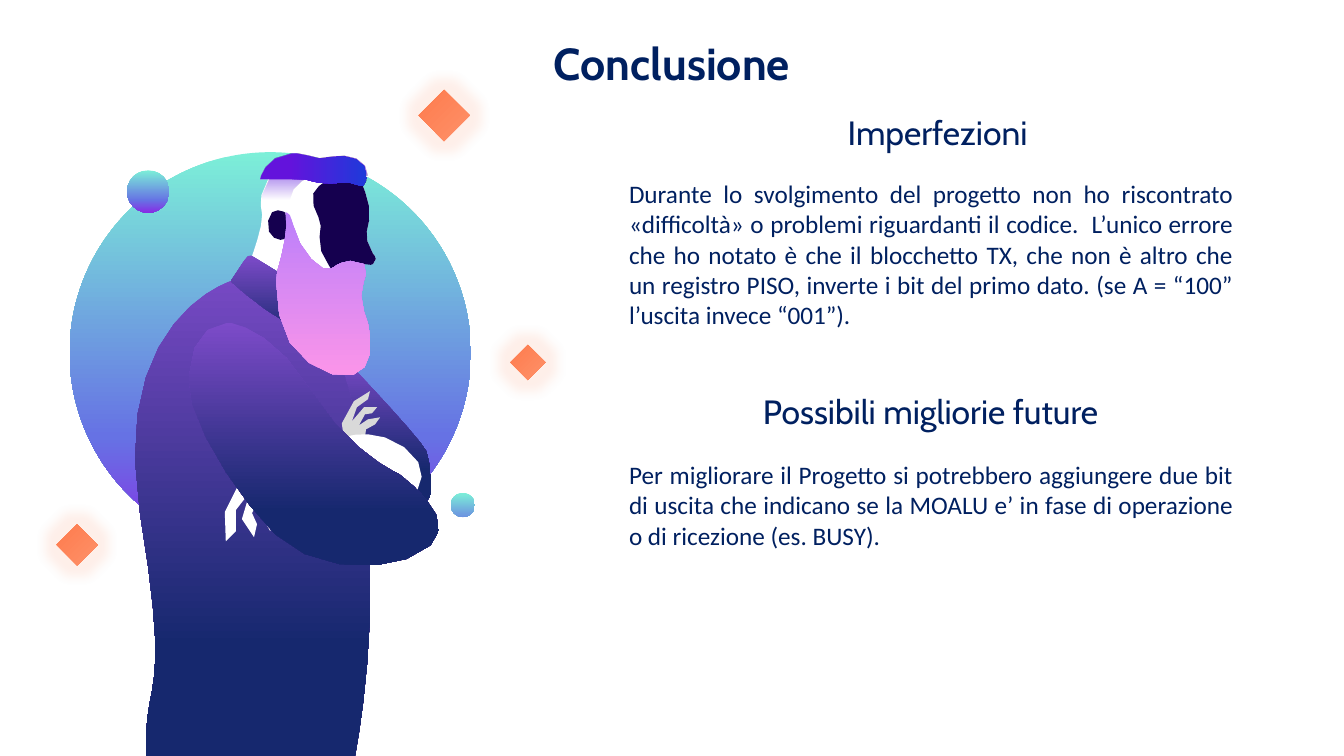
import math
from dataclasses import dataclass

from pptx import Presentation
from pptx import util as u
from pptx.dml.color import RGBColor
from pptx.enum import shapes, text
from pptx.oxml import parse_xml
from pptx.oxml.ns import nsdecls, qn


@dataclass(frozen=True)
class Theme:
    ink: str = "002060"
    white: str = "FFFFFF"
    dark: str = "15004F"
    grey: str = "D9D9D9"
    glow: str = "FE7B4C"
    head: str = "Cabin"
    body: str = "Calibri"
    large: int = 32
    mid: int = 24
    small: int = 18
    orb: tuple = ((0, "7CEFD8"), (71, "6672E4"), (100, "882BE5"))
    dot: tuple = ((0, "7CEFD8"), (100, "6C92E1"))
    coat: tuple = ((0, "7D4BC9"), (78, "16286E"))
    collar: tuple = ((0, "7D4BC9"), (100, "16286E"))
    shade: tuple = ((0, "6524DE"), (76, "6524DE", 0))
    beard: tuple = ((0, "BB7FFB"), (100, "FB95E9"))
    cap: tuple = ((28, "6313DC"), (100, "1E3ADA"))
    gem: tuple = ((0, "FE916A"), (100, "FE7B4C"))


T = Theme()

FAR_ARM = """3.55 3.7, 3.55 3.7 4.19 4.38 4.23 4.48, 4.26 4.59 4.33 4.94 4.23 4.98,
4.12 5.01 3.42 4.95 3.2 4.34, 2.98 3.72 3.06 3.53 3.11 3.52, 3.16 3.5 3.41 3.55 3.55 3.7"""
HEAD = """3.61 2.62, 3.63 2.71, 3.62 2.77 3.53 2.93 3.6 3.09,
3.62 3.14 3.65 3.22 3.66 3.3, 3.69 3.47 3.66 3.67 3.5 3.72, 3.25 3.78 2.83 3.54 2.76 3.12,
2.73 2.8, 2.75 2.69, 2.5 2.54, 2.5 2.54 2.61 2.24 2.6 2.13,
2.59 2.02 2.55 1.98 2.66 1.78, 2.58 1.78, 2.58 1.78 2.62 1.55 2.89 1.53,
2.89 1.53 2.97 1.52 3.05 1.55, 3.12 1.59 3.2 1.58 3.3 1.56,
3.39 1.54 3.56 1.56 3.61 1.65, 3.64 1.75, 3.6 1.85, 3.6 1.85 3.69 2.05 3.66 2.19,
3.63 2.32 3.61 2.36 3.7 2.52, 3.7 2.52 3.76 2.56 3.7 2.62, 3.61 2.62"""
BROW = """3.64 1.75, 3.51 1.74 3.32 1.75 3.03 1.78, 3.03 1.78 2.87 1.85 2.86 2.02,
2.86 2.02 2.71 1.94 2.6 2.13, 2.6 2.02 2.55 1.98 2.67 1.78, 2.58 1.78,
2.58 1.78 2.62 1.55 2.89 1.53, 2.89 1.53 2.97 1.52 3.05 1.55, 3.12 1.59 3.2 1.58 3.3 1.56,
3.39 1.54 3.56 1.56 3.61 1.65, 3.64 1.75"""
VISOR = """3.61 2.62, 3.63 2.72, 3.62 2.77 3.54 2.93 3.6 3.09,
3.66 3.3, 3.44 3.42 3.32 2.78 3.3 2.7, 3.28 2.63 3.14 2.5 3.17 2.35,
3.2 2.21 3.17 2.19 3.11 2.04, 3.05 1.9 3.2 1.82 3.2 1.82, 3.34 1.6 3.48 1.69 3.54 1.69,
3.63 1.71, 3.65 1.77 3.63 1.83 3.6 1.85, 3.6 1.85 3.69 2.05 3.66 2.19,
3.63 2.32 3.61 2.36 3.7 2.52, 3.7 2.52 3.76 2.56 3.7 2.62, 3.7 2.62 3.67 2.64 3.61 2.62"""
BODY = """3.52 7.5, 1.45 7.5, 1.42 6.67 1.71 7.04 1.39 5.1, 1.08 3.16 2.29 2.79 2.29 2.79,
2.42 2.59, 2.46 2.51 2.5 2.54 2.5 2.54, 3.11 2.92,
3.18 3.06 3.24 3.2 3.3 3.35, 3.99 5.22 3.52 7.5 3.52 7.5"""
COLLAR = """3.3 3.35, 2.89 3.36 2.29 2.79 2.29 2.79, 2.42 2.59,
2.46 2.51 2.5 2.54 2.5 2.54, 3.11 2.92, 3.3 3.35"""
EAR = """2.83 2.11, 2.83 2.11 2.69 2.02 2.66 2.19, 2.63 2.37 2.79 2.4 2.83 2.37,
2.83 2.37 2.89 2.24 2.83 2.11"""
BEARD = """3.5 3.72, 3.26 3.78 2.83 3.54 2.77 3.12, 2.74 2.8, 2.75 2.69,
2.75 2.69 2.88 2.28 2.83 2.11, 2.83 2.11 2.88 2.08 2.91 2.24,
2.94 2.41 3.1 2.62 3.2 2.66, 3.31 2.69 3.31 2.64 3.34 2.63, 3.38 2.62 3.44 2.55 3.61 2.62,
3.63 2.72, 3.62 2.77 3.54 2.93 3.61 3.09, 3.68 3.25 3.75 3.65 3.5 3.72"""
CAP = """3.6 1.85, 3.53 1.79 3.39 1.81 3.28 1.82, 3.17 1.83 3.03 1.78 3.03 1.78, 2.58 1.78,
2.58 1.78 2.62 1.55 2.89 1.53, 2.89 1.53 2.97 1.52 3.05 1.55, 3.12 1.59 3.2 1.58 3.3 1.56,
3.39 1.54 3.56 1.56 3.61 1.65, 3.66 1.73 3.64 1.82 3.6 1.85"""
NEAR_HAND = """2.94 4.46, 2.41 4.72, 2.23 5.08, 2.24 5.37, 2.34 5.27, 2.34 5.06, 2.48 4.88,
2.4 5.15, 2.52 5.33, 2.55 5.2, 2.5 5.09, 2.6 4.92, 2.59 5.1, 2.68 5.27, 2.73 5.15,
2.72 4.98, 3 4.73, 2.94 4.46"""
FAR_HAND = """3.44 4.57, 3.39 4.2, 3.51 3.98, 3.67 3.88, 3.65 3.96, 3.54 4.04, 3.49 4.18,
3.61 4.04, 3.74 4.04, 3.69 4.1, 3.62 4.11, 3.56 4.22, 3.65 4.16, 3.77 4.14, 3.72 4.21,
3.63 4.26, 3.6 4.5, 3.44 4.57"""
CUFF = """3.44 4.36, 3.44 4.36 3.7 4.25 3.98 4.4, 4.35 4.59 4.15 4.92 4.03 4.93,
3.84 4.95 3.43 4.67 3.34 4.66, 3.25 4.64 3.21 4.45 3.44 4.36"""
NEAR_ARM = """2.26 3.2, 2.26 3.2 2.69 3.23 3.08 3.87, 3.47 4.5 3.95 4.7 3.95 4.7,
3.95 4.7 4.58 5.14 4.27 5.41, 3.96 5.69 3.15 5.71 2.73 5.3, 2.32 4.89 1.84 4.12 1.87 3.75,
1.9 3.38 2.02 3.23 2.26 3.2"""

FIGURE = (
    (FAR_ARM, T.coat, 90, 0), (HEAD, T.white, 0, 0), (BROW, T.shade, 90, 0),
    (VISOR, T.dark, 0, 0), (BODY, T.coat, 90, 0), (COLLAR, T.collar, 90, 0),
    (EAR, T.dark, 0, 0), (BEARD, T.beard, 90, 0), (CAP, T.cap, 0, 0),
    (NEAR_HAND, T.white, 0, 0), (FAR_HAND, T.grey, 0, 0), (CUFF, T.white, 0, 8.1),
    (NEAR_ARM, T.coat, 90, 0),
)
GEMS = ((0.56, 5.2, 0.41), (5.06, 3.42, 0.35), (4.15, 0.89, 0.51))

FLAWS = ("Durante lo svolgimento del progetto non ho riscontrato «difficoltà» o problemi "
         "riguardanti il codice.  L’unico errore che ho notato è che il blocchetto TX, "
         "che non è altro che un registro PISO, inverte i bit del primo dato. "
         "(se A = “100” l’uscita invece “001”).")
PLANS = ("Per migliorare il Progetto si potrebbero aggiungere due bit di uscita che indicano "
         "se la MOALU e’ in fase di operazione o di ricezione (es. BUSY).")


def paint(shape, fill, angle):
    shape.shadow.inherit = False
    shape.line.fill.background()
    if isinstance(fill, str):
        shape.fill.solid()
        shape.fill.fore_color.rgb = RGBColor.from_string(fill)
        return
    stops = ""
    for pos, tint, *alpha in fill:
        fade = "".join(f'<a:alpha val="{a * 1000}"/>' for a in alpha)
        stops += f'<a:gs pos="{pos * 1000}"><a:srgbClr val="{tint}">{fade}</a:srgbClr></a:gs>'
    if angle is None:
        blend = '<a:path path="circle"><a:fillToRect l="100000" t="100000"/></a:path>'
    else:
        blend = f'<a:lin ang="{angle * 60000}" scaled="0"/>'
    shape.fill.background()
    props = shape.element.spPr
    props.replace(props.find(qn("a:noFill")), parse_xml(
        f'<a:gradFill {nsdecls("a")} rotWithShape="1"><a:gsLst>{stops}</a:gsLst>{blend}</a:gradFill>'))


def trace(outline, slack=0.02):
    first, *parts = [[float(n) for n in part.split()] for part in outline.split(",")]
    dots = [tuple(first)]
    for part in parts:
        if len(part) == 2:
            dots.append(tuple(part))
            continue
        curve = [dots[-1], *zip(part[::2], part[1::2])]
        bend = max(math.hypot(*(a[k] - 2 * b[k] + c[k] for k in (0, 1)))
                   for a, b, c in zip(curve, curve[1:], curve[2:]))
        steps = max(1, math.ceil(math.sqrt(0.75 * bend / slack)))
        for i in range(1, steps + 1):
            t = i / steps
            mix = ((1 - t) ** 3, 3 * t * (1 - t) ** 2, 3 * t * t * (1 - t), t ** 3)
            dots.append(tuple(sum(m * p[k] for m, p in zip(mix, curve)) for k in (0, 1)))
    return [(u.Inches(x), u.Inches(y)) for x, y in dots]


def limb(slide, outline, fill, angle, turn):
    dots = trace(outline)
    pen = slide.shapes.build_freeform(*dots[0])
    pen.add_line_segments(dots[1:-1], close=True)
    shape = pen.convert_to_shape()
    shape.rotation = turn
    paint(shape, fill, angle)


def badge(slide, kind, left, top, size, fill, angle=90):
    shape = slide.shapes.add_shape(kind, *map(u.Inches, (left, top, size, size)))
    paint(shape, fill, angle)
    return shape


def gem(slide, left, top, size):
    shape = badge(slide, shapes.MSO_SHAPE.DIAMOND, left, top, size, T.gem, None)
    shape.element.spPr.find(qn("a:effectLst")).append(parse_xml(
        f'<a:glow {nsdecls("a")} rad="{u.Inches(0.22)}"><a:srgbClr val="{T.glow}">'
        '<a:alpha val="12000"/></a:srgbClr></a:glow>'))


def label(slide, words, place, size, font, align, bold=False, inset=(0, 0)):
    frame = slide.shapes.add_textbox(*map(u.Inches, place)).text_frame
    frame.word_wrap = True
    frame.margin_left = frame.margin_right = u.Inches(inset[0])
    frame.margin_top = frame.margin_bottom = u.Inches(inset[1])
    line = frame.paragraphs[0]
    line.alignment = align
    run = line.add_run()
    run.text = words
    run.font.name, run.font.size, run.font.bold = font, u.Pt(size), bold
    run.font.color.rgb = RGBColor.from_string(T.ink)


def main():
    deck = Presentation()
    deck.slide_width, deck.slide_height = u.Inches(13.33), u.Inches(7.5)
    slide = deck.slides.add_slide(deck.slide_layouts[6])
    mid, just = text.PP_ALIGN.CENTER, text.PP_ALIGN.JUSTIFY
    disc = shapes.MSO_SHAPE.OVAL

    label(slide, "Conclusione", (2.75, 0.35, 7.83, 0.54), T.large, T.head, mid, True)
    badge(slide, disc, 0.69, 1.51, 3.98, T.orb)
    for part in FIGURE:
        limb(slide, *part)
    badge(slide, disc, 1.26, 1.69, 0.42, T.orb)
    badge(slide, disc, 4.47, 4.89, 0.24, T.dot)
    for place in GEMS:
        gem(slide, *place)
    for title, left, top, words, start, tall in (
            ("Imperfezioni", 6.27, 1.11, FLAWS, 1.72, 1.62),
            ("Possibili migliorie future", 6.2, 3.88, PLANS, 4.51, 1.01)):
        label(slide, title, (left, top, 6.06, 0.4), T.mid, T.head, mid)
        label(slide, words, (6.14, start, 6.19, tall), T.small, T.body, just, inset=(0.1, 0.05))
    deck.save("out.pptx")


if __name__ == "__main__":
    main()
